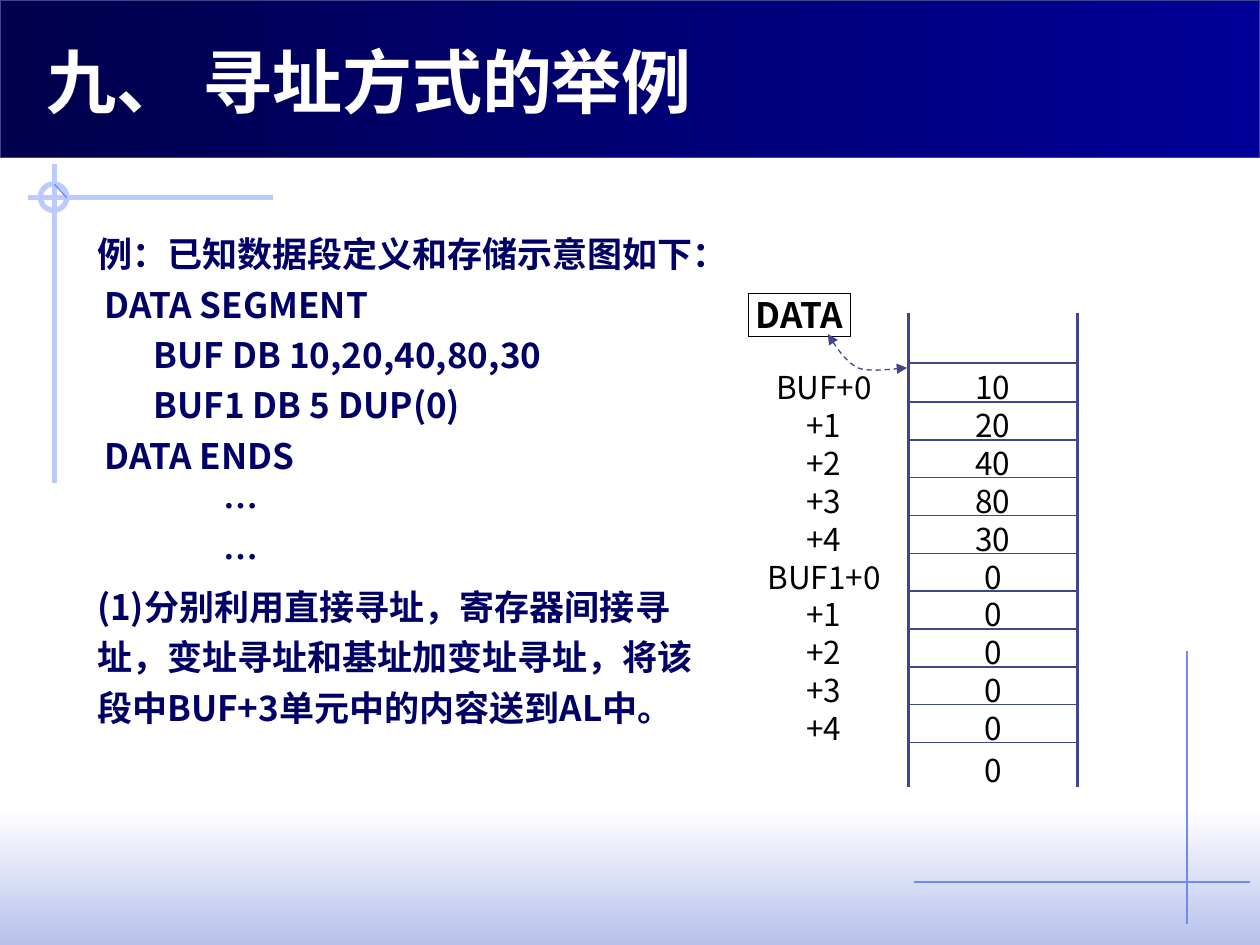
import pptx
import pptx.util
import pptx.dml.color
import pptx.enum.dml
import pptx.enum.shapes
import pptx.enum.text
import pptx.oxml
import pptx.oxml.ns
from lxml import etree

Inches = pptx.util.Inches
Pt = pptx.util.Pt
qn = pptx.oxml.ns.qn
SHAPE = pptx.enum.shapes.MSO_SHAPE
ALIGN = pptx.enum.text.PP_ALIGN
MIDDLE = pptx.enum.text.MSO_ANCHOR.MIDDLE

COLORS = {
    "white": "FFFFFF", "black": "000000", "text": "000066",
    "navy": "00004D", "blue": "000099", "mist": "B7C1EB",
    "pale": "BBCBFD", "sky": "6F89F7", "grid": "40458C",
}
SANS = "Noto Sans CJK SC"

# Text and left indent in inches
LINES = [
    ("例：已知数据段定义和存储示意图如下：", 0),
    ("DATA SEGMENT", 0.06),
    ("BUF DB 10,20,40,80,30", 0.45),
    ("BUF1 DB 5 DUP(0)", 0.45),
    ("DATA ENDS", 0.06),
    ("…", 1),
    ("…", 1),
    ("(1)分别利用直接寻址，寄存器间接寻址，变址寻址和基址加变址寻址，"
     "将该段中BUF+3单元中的内容送到AL中。", 0),
]
STEPS = ["+1", "+2", "+3", "+4"]
LABELS = ["", "BUF+0", *STEPS, "BUF1+0", *STEPS, ""]
BYTES = ["", "10", "20", "40", "80", "30"] + ["0"] * 6


def rgb(name):
    return pptx.dml.color.RGBColor.from_string(COLORS[name])


def box(*sizes):
    return [Inches(size) for size in sizes]


def place(shape, *sizes):
    shape.left, shape.top, shape.width, shape.height = box(*sizes)


def style(para, size, color, bold=False, face=SANS):
    font = para.font
    font.size, font.bold, font.name = Pt(size), bold, face
    font.color.rgb = rgb(color)
    props = para._p.pPr.find(qn("a:defRPr"))
    etree.SubElement(props, qn("a:ea"), typeface=face)


def outline(shape, color, width):
    shape.line.color.rgb = rgb(color)
    shape.line.width = Pt(width)


def add_band(slide, sizes, first, last, angle):
    band = slide.shapes.add_shape(SHAPE.RECTANGLE, *box(*sizes))
    band.shadow.inherit = False
    band.fill.gradient()
    band.fill.gradient_angle = angle
    for stop, name in zip(band.fill.gradient_stops, (first, last)):
        stop.color.rgb = rgb(name)
    band.line.fill.background()
    return band


def add_line(slide, ends, color, width):
    kind = pptx.enum.shapes.MSO_CONNECTOR.STRAIGHT
    line = slide.shapes.add_connector(kind, *box(*ends))
    outline(line, color, width)
    etree.SubElement(line._element.spPr, qn("a:effectLst"))


def add_ring(slide):
    ring = slide.shapes.add_shape(SHAPE.OVAL, *box(0.32, 1.46, 0.21, 0.21))
    ring.shadow.inherit = False
    ring.fill.background()
    outline(ring, "pale", 3)


def fill_title(title):
    place(title, 0.27, 0.28, 7.8, 0.72)
    title.text_frame.text = "九、 寻址方式的举例"
    title.text_frame.vertical_anchor = MIDDLE
    title.text_frame.auto_size = pptx.enum.text.MSO_AUTO_SIZE.NONE
    para = title.text_frame.paragraphs[0]
    para.alignment = ALIGN.LEFT
    style(para, 40, "white", True, "Noto Sans CJK JP")


def fill_body(body):
    place(body, 0.67, 1.73, 5.02, 4.14)
    frame = body.text_frame
    frame.auto_size = pptx.enum.text.MSO_AUTO_SIZE.NONE
    frame.text = "\n".join(text for text, _ in LINES)
    for para, (_, left) in zip(frame.paragraphs, LINES):
        para.line_spacing, para.space_before = Pt(28.8), Pt(0)
        props = para._p.get_or_add_pPr()
        props.set("marL", str(Inches(left)))
        props.set("indent", "0")
        etree.SubElement(props, qn("a:buNone"))
        style(para, 20, "text", True)


def add_edge(cell, side, width):
    edge = etree.SubElement(cell._tc.get_or_add_tcPr(), qn("a:ln" + side),
                            w=str(Pt(width)))
    fill = etree.SubElement(edge, qn("a:solidFill"))
    etree.SubElement(fill, qn("a:srgbClr"), val=COLORS["grid"])


def fill_cell(cell, text):
    cell.fill.solid()
    cell.fill.fore_color.rgb = rgb("white")
    cell.vertical_anchor = MIDDLE
    cell.margin_left = cell.margin_right = 0
    # Lowers the text within its tight row
    cell.margin_top, cell.margin_bottom = Pt(4), Pt(-4)
    cell.text = text
    para = cell.text_frame.paragraphs[0]
    para.alignment, para.line_spacing = ALIGN.CENTER, Pt(21.6)
    style(para, 18, "black")


def add_memory(slide):
    count = len(BYTES)
    frame = slide.shapes.add_table(count, 2, *box(5.87, 2.49, 2.68, 3.7))
    table = frame.table
    table.first_row = table.horz_banding = False
    for row, texts in enumerate(zip(LABELS, BYTES)):
        table.rows[row].height = Inches({0: 0.39, 1: 0.31}.get(row, 0.3))
        label, value = table.cell(row, 0), table.cell(row, 1)
        add_edge(label, "R", 2.25)
        add_edge(value, "L", 2.25)
        add_edge(value, "R", 2.25)
        if row > 0:
            add_edge(value, "T", 1)
        if row < count - 1:
            add_edge(value, "B", 1)
        for cell, text in zip((label, value), texts):
            fill_cell(cell, text)


def add_label(slide):
    label = slide.shapes.add_textbox(*box(5.94, 2.33, 0.81, 0.34))
    outline(label, "black", 0.75)
    frame = label.text_frame
    frame.margin_left = frame.margin_right = 0
    frame.margin_top = frame.margin_bottom = 0
    frame.word_wrap, frame.vertical_anchor = True, MIDDLE
    frame.text = "DATA"
    frame.paragraphs[0].alignment = ALIGN.CENTER
    style(frame.paragraphs[0], 20, "black", True)


def bend(points, steps=12):
    """Points along a cubic curve, without its start."""
    for step in range(1, steps + 1):
        t = step / steps
        parts = ((1 - t) ** 3, 3 * t * (1 - t) ** 2, 3 * t * t * (1 - t), t ** 3)
        yield tuple(Inches(sum(k * point[axis] for k, point in zip(parts, points)))
                    for axis in (0, 1))


def add_arrow(slide):
    start, mid = (6.57, 2.65), (6.81, 2.92)
    dots = [*bend([start, (6.64, 2.76), (6.71, 2.87), mid]),
            *bend([mid, (6.91, 2.96), (7.13, 2.92), (7.2, 2.92)])]
    path = slide.shapes.build_freeform(*box(*start))
    path.add_line_segments(dots, close=False)
    arrow = path.convert_to_shape()
    arrow.shadow.inherit = False
    arrow.fill.background()
    outline(arrow, "grid", 0.75)
    arrow.line.dash_style = pptx.enum.dml.MSO_LINE.DASH
    for end in ("a:headEnd", "a:tailEnd"):
        etree.SubElement(arrow.line._get_or_add_ln(), qn(end), type="triangle")


def main():
    deck = pptx.Presentation()
    deck.slide_width, deck.slide_height = box(10, 7.5)
    slide = deck.slides.add_slide(deck.slide_layouts[1])
    title, body = slide.placeholders
    add_band(slide, (0, 6.42, 10, 1.08), "white", "mist", 270)
    add_line(slide, (9.42, 5.17, 9.42, 7.33), "sky", 0.75)
    add_line(slide, (7.25, 7, 9.92, 7), "sky", 0.75)
    add_line(slide, (0.22, 1.57, 2.17, 1.57), "pale", 3)
    add_line(slide, (0.43, 1.3, 0.43, 3.83), "pale", 3)
    add_ring(slide)
    add_line(slide, (0.43, 1.46, 0.53, 1.57), "sky", 0.75)
    banner = add_band(slide, (0, 0, 10, 1.25), "navy", "blue", 0)
    outline(banner, "grid", 0.75)
    fill_title(title)
    fill_body(body)
    for holder in (title, body):  # in front of the bands
        slide.shapes._spTree.append(holder._element)
    add_memory(slide)
    add_label(slide)
    add_arrow(slide)
    deck.save("out.pptx")


if __name__ == "__main__":
    main()
